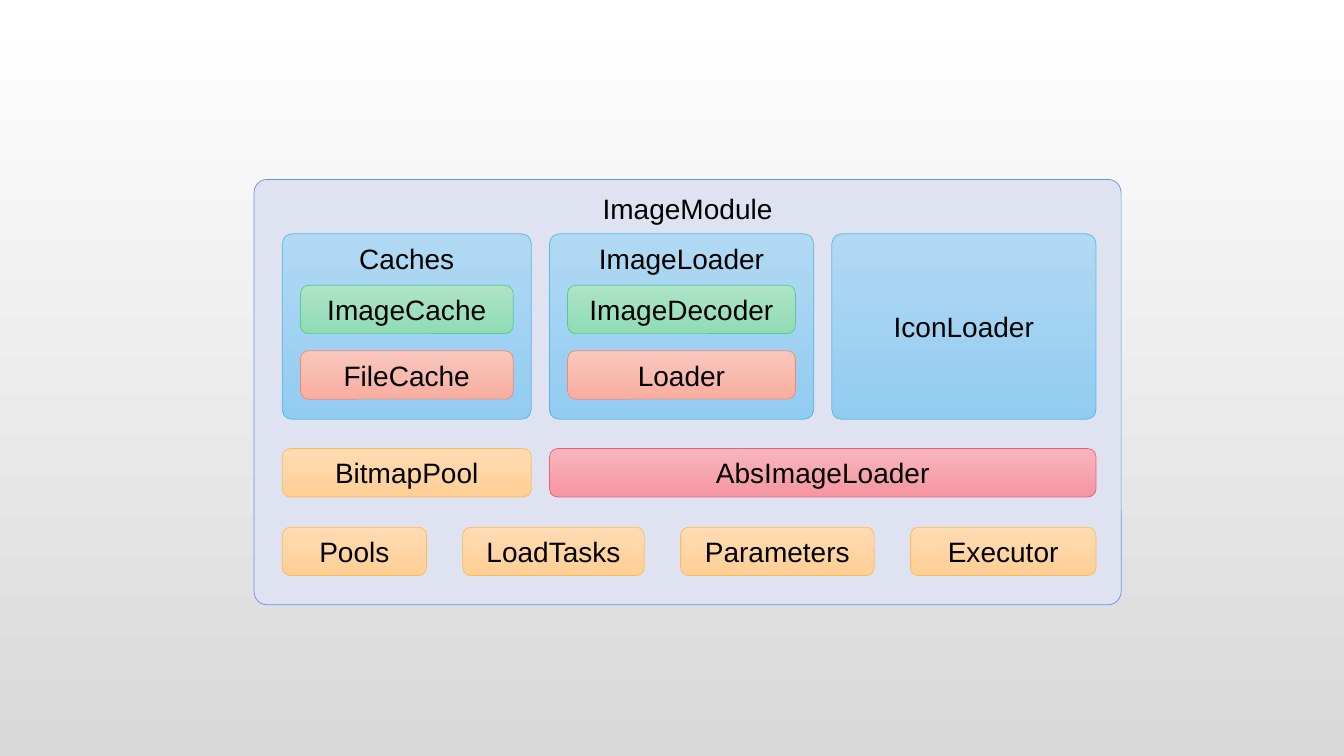
from dataclasses import dataclass

from pptx import Presentation
from pptx.dml.color import RGBColor
from pptx.dml.fill import FillFormat
from pptx.enum import shapes, text
from pptx.slide import Slide
from pptx import util as u

PX = 9144  # EMU per px, 100 px to the inch
FONT = "Arial"
BLACK = RGBColor(0x00, 0x00, 0x00)
WHITE = RGBColor(0xFF, 0xFF, 0xFF)
GREY = RGBColor(0xD9, 0xD9, 0xD9)
LAVENDER = RGBColor(0xDF, 0xE3, 0xF1)


@dataclass(frozen=True)
class Palette:
    top: RGBColor
    bottom: RGBColor
    line: RGBColor


PANEL = Palette(LAVENDER, LAVENDER, RGBColor(0x60, 0x96, 0xE6))
BLUE = Palette(RGBColor(0xB1, 0xD9, 0xF3), RGBColor(0x92, 0xCC, 0xF1), RGBColor(0x58, 0xB6, 0xE5))
GREEN = Palette(RGBColor(0xAE, 0xE3, 0xC8), RGBColor(0x90, 0xDC, 0xB5), RGBColor(0x56, 0xCA, 0x95))
SALMON = Palette(RGBColor(0xF9, 0xC7, 0xBD), RGBColor(0xF9, 0xAE, 0xA0), RGBColor(0xF1, 0x88, 0x70))
ORANGE = Palette(RGBColor(0xFF, 0xDC, 0xB4), RGBColor(0xFF, 0xCF, 0x95), RGBColor(0xFF, 0xBA, 0x55))
ROSE = Palette(RGBColor(0xF7, 0xB5, 0xBC), RGBColor(0xF6, 0x96, 0xA1), RGBColor(0xEC, 0x5F, 0x74))


@dataclass(frozen=True)
class Block:
    label: str
    left: int
    top: int
    width: int
    height: int
    palette: Palette
    heading_inset: int = 0  # above zero: the label sits this far below the top edge
    corner: int = 8


@dataclass(frozen=True)
class Column:
    label: str
    width: int
    members: tuple[str, ...] = ()


LEFT, RIGHT = 280, 1087
COLUMN_TOP, COLUMN_HEIGHT, COLUMN_GAP = 232, 184, 18
MEMBER_TOP, MEMBER_STEP, MEMBER_INSET = 283, 65, 18
BAR_HEIGHT, POOL_TOP, BASE_TOP, BASE_GAP = 48, 445, 523, 36

COLUMNS = (
    Column("Caches", 247, ("ImageCache", "FileCache")),
    Column("ImageLoader", 262, ("ImageDecoder", "Loader")),
    Column("IconLoader", 262),
)
BASE = (
    Column("Pools", 143),
    Column("LoadTasks", 180),
    Column("Parameters", 192),
    Column("Executor", 184),
)


def lefts(columns: tuple[Column, ...], gap: int) -> list[int]:
    """Left edges of columns set side by side from LEFT."""
    return [LEFT + sum(c.width + gap for c in columns[:i]) for i in range(len(columns))]


def shade(fill: FillFormat, top: RGBColor, bottom: RGBColor) -> None:
    """Fill from top to bottom, plain when both colours agree."""
    if top == bottom:
        fill.solid()
        fill.fore_color.rgb = top
        return
    fill.gradient()
    fill.gradient_angle = 270
    for stop, colour in zip(fill.gradient_stops, (top, bottom)):
        stop.color.rgb = colour


def draw_block(slide: Slide, block: Block) -> None:
    box = slide.shapes.add_shape(
        shapes.MSO_SHAPE.ROUNDED_RECTANGLE,
        *(length * PX for length in (block.left, block.top, block.width, block.height)),
    )
    box.shadow.inherit = False
    box.adjustments[0] = block.corner / block.height
    shade(box.fill, block.palette.top, block.palette.bottom)
    box.line.color.rgb = block.palette.line
    box.line.width = u.Pt(0.5)

    frame = box.text_frame
    frame.word_wrap = True
    frame.vertical_anchor = text.MSO_ANCHOR.MIDDLE
    if block.heading_inset:
        frame.vertical_anchor = text.MSO_ANCHOR.TOP
        frame.margin_top = block.heading_inset * PX
    label = frame.paragraphs[0]
    label.alignment = text.PP_ALIGN.CENTER
    run = label.add_run()
    run.text = block.label
    run.font.name = FONT
    run.font.size = u.Pt(20)
    run.font.color.rgb = BLACK


def diagram_blocks() -> list[Block]:
    blocks = [Block("ImageModule", 252, 178, 860, 422, PANEL, heading_inset=8, corner=13)]
    column_lefts = lefts(COLUMNS, COLUMN_GAP)
    for column, left in zip(COLUMNS, column_lefts):
        inset = 5 if column.members else 0
        blocks.append(
            Block(column.label, left, COLUMN_TOP, column.width, COLUMN_HEIGHT, BLUE, inset, corner=10)
        )
        for row, (member, palette) in enumerate(zip(column.members, (GREEN, SALMON))):
            blocks.append(
                Block(member, left + MEMBER_INSET, MEMBER_TOP + row * MEMBER_STEP,
                      column.width - 2 * MEMBER_INSET, BAR_HEIGHT, palette)
            )
    loader_left = column_lefts[1]
    blocks += [
        Block("BitmapPool", LEFT, POOL_TOP, COLUMNS[0].width, BAR_HEIGHT, ORANGE),
        Block("AbsImageLoader", loader_left, POOL_TOP, RIGHT - loader_left, BAR_HEIGHT, ROSE),
    ]
    blocks += [
        Block(item.label, left, BASE_TOP, item.width, BAR_HEIGHT, ORANGE)
        for item, left in zip(BASE, lefts(BASE, BASE_GAP))
    ]
    return blocks


def main() -> None:
    deck = Presentation()
    deck.slide_width, deck.slide_height = 1333 * PX, 750 * PX
    slide = deck.slides.add_slide(deck.slide_layouts[6])
    shade(slide.background.fill, WHITE, GREY)
    for block in diagram_blocks():
        draw_block(slide, block)
    deck.save("out.pptx")


if __name__ == "__main__":
    main()
